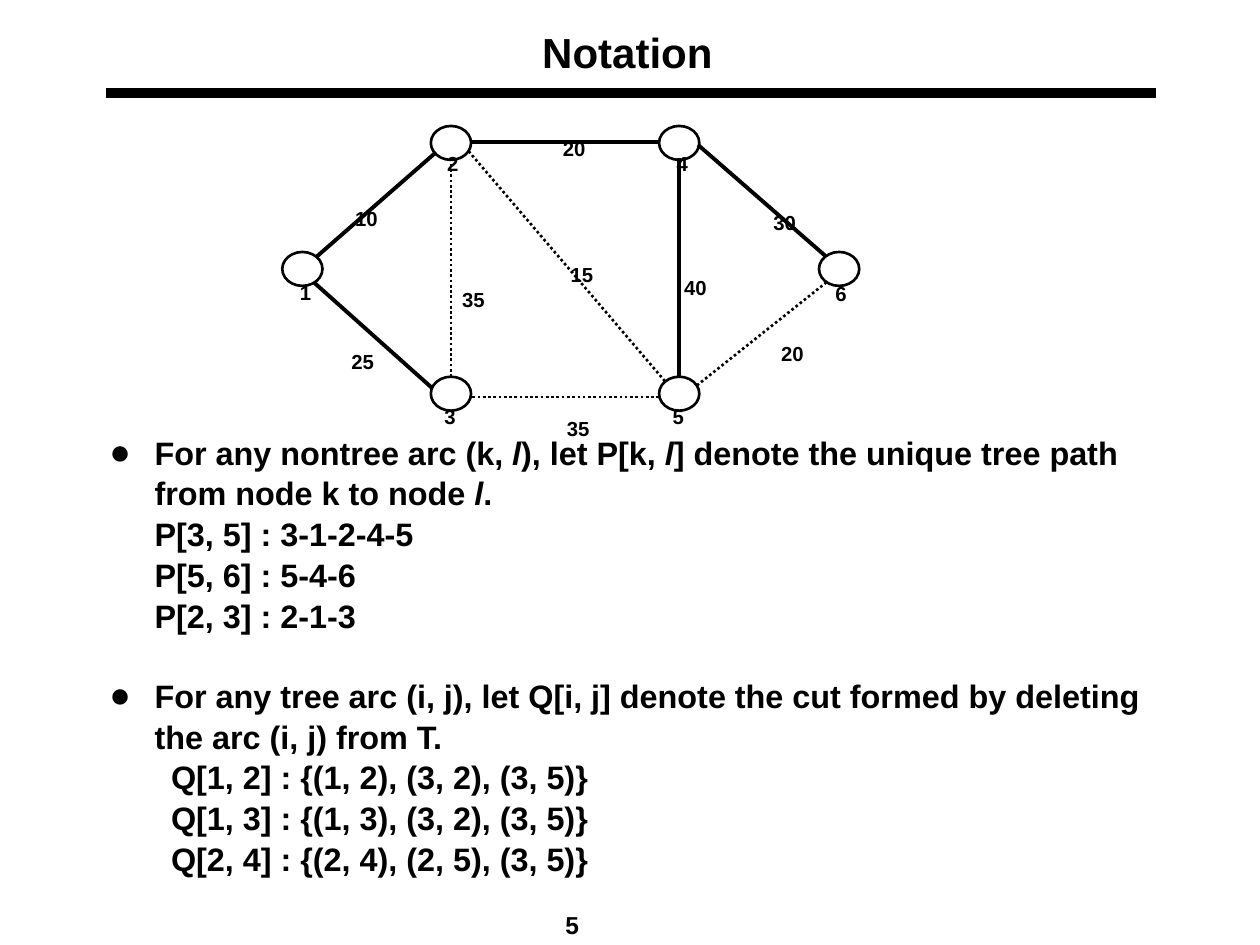
from pptx import Presentation
from pptx.dml.color import RGBColor
from pptx.enum.dml import MSO_LINE
from pptx.enum.shapes import MSO_CONNECTOR, MSO_SHAPE
from pptx.enum.text import MSO_ANCHOR, PP_ALIGN
from pptx.oxml.ns import qn
from pptx.util import Pt
from lxml.etree import SubElement

COLORS = {"ink": "000000", "paper": "FFFFFF"}
FONT = "Arial"
NODE_WIDTH, NODE_HEIGHT = 23, 19.4
BODY_SIZE, BODY_SPACING = 18.5, 1.05
BULLET_INDENT = 25.9

NODES = {
    "1": (0.3, 82, 2.9, 0),
    "2": (85.2, 10, 2.2, -1.4),
    "4": (215.6, 10, 2.9, -1.4),
    "6": (307, 82, 2.2, 0.7),
    "5": (215.6, 153.3, 0.7, 0),
    "3": (85.2, 153.3, 0.7, 0),
}
TREE_ARCS = [
    ((19.7, 84.9), (88.1, 25.1), "10", (34.8, 40.2)),
    ((108.3, 19.4), (214.8, 19.4), "20", (153.6, 0)),
    ((237.9, 20.8), (310.6, 84.2), "30", (273.9, 42.4)),
    ((18.3, 99.3), (86, 159.8), "25", (32.7, 121.6)),
    ((227.1, 28), (227.1, 153.3), "40", (222.8, 79.1)),
]
NONTREE_ARCS = [
    ((311.3, 99.3), (237.2, 158.3), "20", (278.2, 117.3)),
    ((215.6, 164.8), (108.3, 164.8), "35", (155.8, 159.8)),
    ((96.8, 28.7), (96.8, 152.6), "35", (96, 86.3)),
    ((106.8, 24.4), (219.9, 156.9), "15", (158, 71.9)),
]
STATEMENTS = [
    ("For any nontree arc (k, *l*), let P[k, *l*] denote the unique tree path "
     "from node k to node *l*.", BULLET_INDENT,
     ["P[3, 5] : 3-1-2-4-5", "P[5, 6] : 5-4-6", "P[2, 3] : 2-1-3"]),
    ("For any tree arc (i, j), let Q[i, j] denote the cut formed by deleting "
     "the arc (i, j) from T.", 35.3,
     ["Q[1, 2] : {(1, 2), (3, 2), (3, 5)}",
      "Q[1, 3] : {(1, 3), (3, 2), (3, 5)}",
      "Q[2, 4] : {(2, 4), (2, 5), (3, 5)}"]),
]


def color(name):
    return RGBColor.from_string(COLORS[name])


def style_font(font, size):
    font.name = FONT
    font.size = Pt(size)
    font.bold = True
    font.color.rgb = color("ink")


def add_text(page, left, top, width, height, text, size, align, wrap=True):
    box = page.shapes.add_textbox(Pt(left), Pt(top), Pt(width), Pt(height))
    box.text_frame.text = text
    box.text_frame.word_wrap = wrap
    para = box.text_frame.paragraphs[0]
    para.alignment = align
    style_font(para.runs[0].font, size)
    return box


def add_line(page, start, end, width, dash=None):
    line = page.shapes.add_connector(
        MSO_CONNECTOR.STRAIGHT, *(Pt(value) for value in (*start, *end)))
    line.line.color.rgb = color("ink")
    line.line.width = Pt(width)
    if dash:
        line.line.dash_style = dash
    SubElement(line._element.spPr, qn("a:effectLst"))


def add_label(page, left, top, width, text):
    box = add_text(page, left, top, width, 33.8, text, 20, PP_ALIGN.LEFT, False)
    run = box.text_frame.paragraphs[0].runs[0]
    run._r.get_or_add_rPr().set("baseline", "-20000")


def add_title(page, left, top, width, height):
    add_line(page, (left + 8, top + 36.7), (left + width - 4, top + 36.7), 6)
    box = add_text(page, left, top, width, height, "Notation", 24, PP_ALIGN.CENTER)
    box.text_frame.vertical_anchor = MSO_ANCHOR.MIDDLE


def add_graph(page, left, top):
    for x, y, _, _ in NODES.values():
        node = page.shapes.add_shape(MSO_SHAPE.OVAL, Pt(left + x), Pt(top + y),
                                     Pt(NODE_WIDTH), Pt(NODE_HEIGHT))
        node.shadow.inherit = False
        node.fill.solid()
        node.fill.fore_color.rgb = color("paper")
        node.line.color.rgb = color("ink")
        node.line.width = Pt(1.5)
    for arcs, width, dash in ((TREE_ARCS, 2.25, None),
                              (NONTREE_ARCS, 1.5, MSO_LINE.ROUND_DOT)):
        for start, end, weight, (x, y) in arcs:
            add_line(page, (left + start[0], top + start[1]),
                     (left + end[0], top + end[1]), width, dash)
            add_label(page, left + x, top + y, 27.4, weight)
    for name, (x, y, shift_x, shift_y) in NODES.items():
        add_label(page, left + x + shift_x, top + y + shift_y, 20.9, name)


def add_bullet(para):
    properties = para._p.get_or_add_pPr()
    properties.set("indent", str(Pt(-BULLET_INDENT)))
    bullet_color = SubElement(properties, qn("a:buClr"))
    SubElement(bullet_color, qn("a:srgbClr"), val=COLORS["ink"])
    SubElement(properties, qn("a:buSzPct"), val="110000")
    SubElement(properties, qn("a:buFont"), typeface=FONT)
    SubElement(properties, qn("a:buChar"), char="●")


def fill_paragraph(para, text, indent):
    para.line_spacing = BODY_SPACING
    para._p.get_or_add_pPr().set("marL", str(Pt(indent)))
    for index, part in enumerate(text.split("*")):
        span = para.add_run()
        span.text = part
        style_font(span.font, BODY_SIZE)
        span.font.italic = index % 2 == 1


def add_statements(page, left, top, width, height):
    box = page.shapes.add_textbox(Pt(left), Pt(top), Pt(width), Pt(height))
    frame = box.text_frame
    frame.word_wrap = True
    for index, (statement, indent, examples) in enumerate(STATEMENTS):
        para = frame.add_paragraph() if index else frame.paragraphs[0]
        if index:
            para.space_before = Pt(22.3)
        fill_paragraph(para, statement, BULLET_INDENT)
        add_bullet(para)
        for example in examples:
            fill_paragraph(frame.add_paragraph(), example, indent)


def main():
    deck = Presentation()
    deck.slide_width, deck.slide_height = Pt(720), Pt(540)
    page = deck.slides.add_slide(deck.slide_layouts[6])
    add_title(page, 52.5, 16.5, 612, 26.6)
    add_statements(page, 55.4, 242.6, 612, 266.4)
    add_graph(page, 161, 62)
    add_text(page, 252, 516.2, 149.8, 18, "5", 14, PP_ALIGN.CENTER)
    deck.save("out.pptx")


if __name__ == "__main__":
    main()
